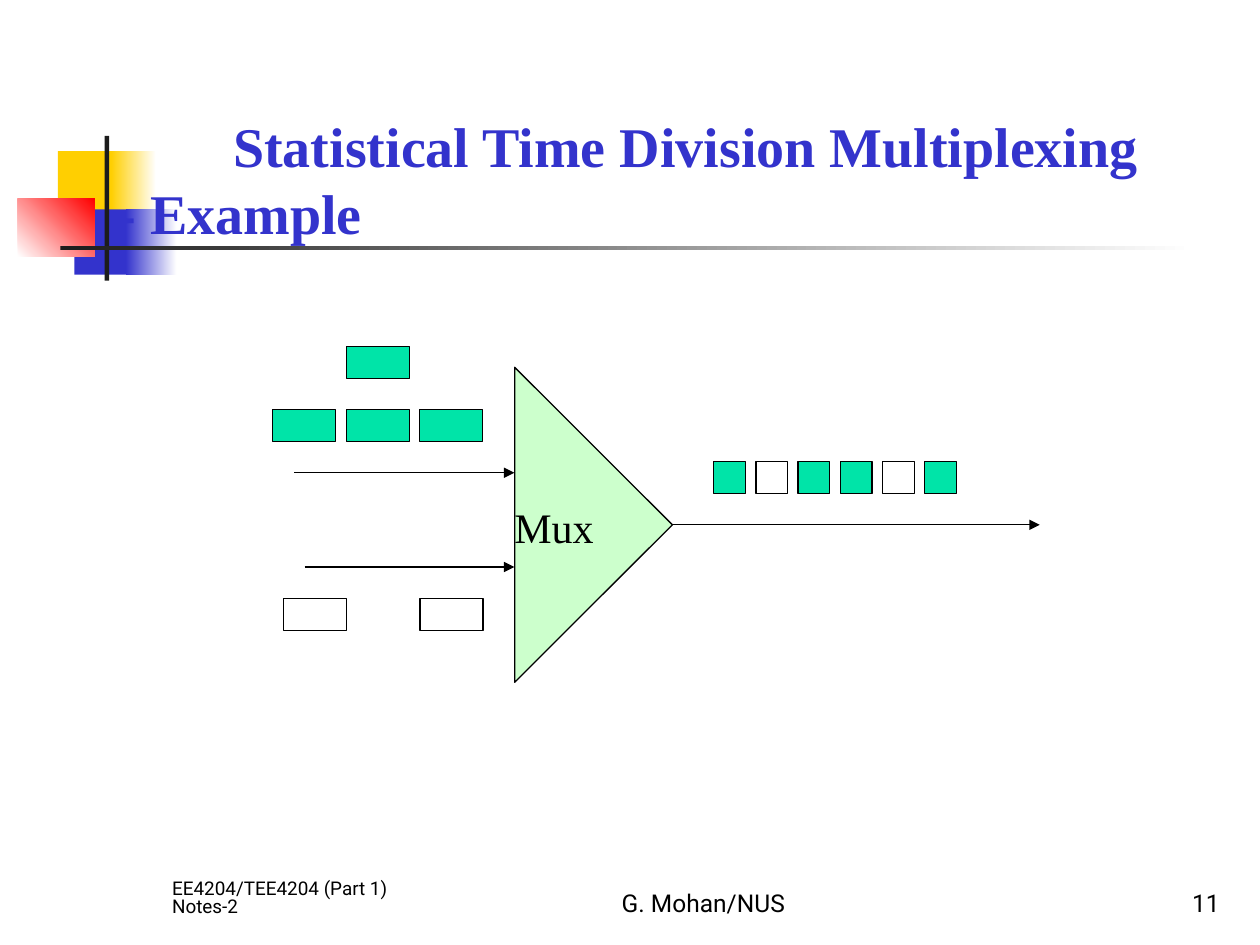
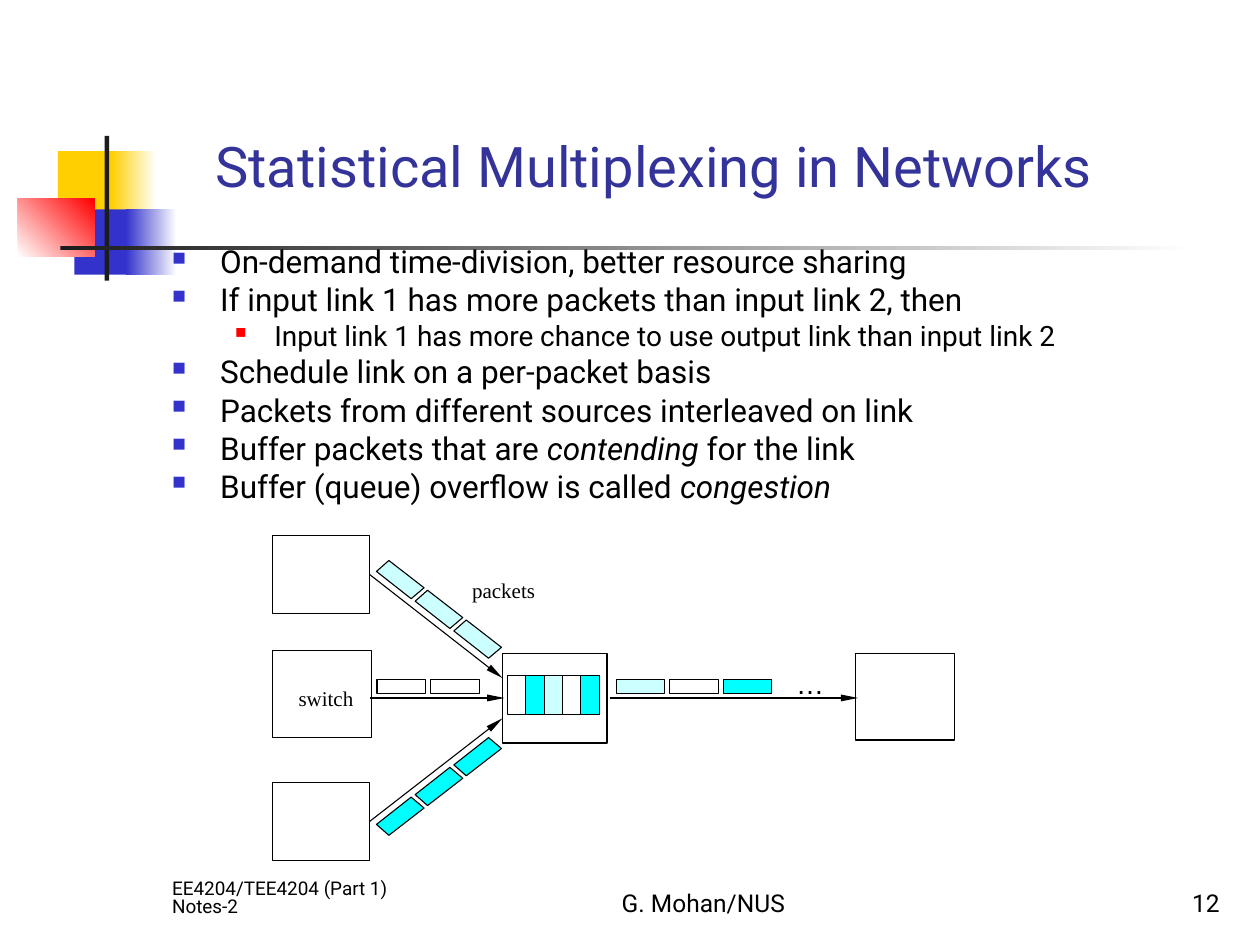
from lxml import etree
from pptx import Presentation
from pptx import util as u
from pptx.dml.color import RGBColor
from pptx.enum import shapes, text
from pptx.oxml import ns

BLACK = RGBColor(0x00, 0x00, 0x00)
WHITE = RGBColor(0xFF, 0xFF, 0xFF)
CHARCOAL = RGBColor(0x1C, 0x1C, 0x1C)
YELLOW = RGBColor(0xFF, 0xCF, 0x01)
BLUE = RGBColor(0x33, 0x33, 0xCC)
NAVY = RGBColor(0x33, 0x33, 0x99)
RED = RGBColor(0xFF, 0x00, 0x00)
GREEN = RGBColor(0x00, 0xE4, 0xA8)
MINT = RGBColor(0xCC, 0xFF, 0xCC)
CYAN = RGBColor(0x00, 0xFF, 0xFF)
PALE_CYAN = RGBColor(0xCC, 0xFF, 0xFF)

SANS = "Roboto"
SERIF = "Times New Roman"
LEFT, CENTER, RIGHT = text.PP_ALIGN.LEFT, text.PP_ALIGN.CENTER, text.PP_ALIGN.RIGHT
TOP, MIDDLE, BOTTOM = (text.MSO_ANCHOR.TOP, text.MSO_ANCHOR.MIDDLE,
                       text.MSO_ANCHOR.BOTTOM)

LINK_Y = 14.07  # height of the middle link through the switch


def cm(*lengths):
    return [u.Cm(length) for length in lengths]


def add_element(parent, tag, **attributes):
    return etree.SubElement(parent, ns.qn(tag), attributes)


def write(para, content, size=18, font=SANS, color=BLACK, bold=False,
          align=LEFT, spacing=None):
    """Fill a paragraph; parts between asterisks are set in italics."""
    para.alignment = align
    if spacing:
        para.line_spacing = spacing
    for index, part in enumerate(content.split("*")):
        if part:
            span = para.add_run()
            span.text = part
            span.font.size = u.Pt(size)
            span.font.name = font
            span.font.color.rgb = color
            span.font.bold = bold
            span.font.italic = index % 2 == 1


def set_frame(frame, anchor=TOP, wrap=True, inset=True):
    frame.word_wrap = wrap
    frame.auto_size = text.MSO_AUTO_SIZE.NONE
    frame.vertical_anchor = anchor
    frame.margin_left = frame.margin_right = u.Cm(0.25 if inset else 0)
    frame.margin_top = frame.margin_bottom = u.Cm(0.13 if inset else 0)


def add_text(slide, place, content, anchor=TOP, wrap=True, inset=True, **style):
    frame = slide.shapes.add_textbox(*cm(*place)).text_frame
    set_frame(frame, anchor, wrap, inset)
    write(frame.paragraphs[0], content, **style)


def set_title(slide, place, content, indent, anchor, **style):
    title = slide.shapes.title
    title.left, title.top, title.width, title.height = cm(*place)
    set_frame(title.text_frame, anchor)
    para = title.text_frame.paragraphs[0]
    para._p.get_or_add_pPr().set("indent", str(u.Cm(indent)))
    write(para, content, size=32, **style)
    slide.shapes._spTree.append(title._element)  # in front of the squares


def paint(shape, fill, line_width):
    shape.shadow.inherit = False
    if fill is None:
        shape.fill.background()
    else:
        shape.fill.solid()
        shape.fill.fore_color.rgb = fill
    if line_width:
        shape.line.color.rgb = BLACK
        shape.line.width = u.Pt(line_width)
    else:
        shape.line.fill.background()
    return shape


def add_box(slide, place, fill=None, line_width=0.75,
            kind=shapes.MSO_SHAPE.RECTANGLE):
    return paint(slide.shapes.add_shape(kind, *cm(*place)), fill, line_width)


def add_fade(slide, place, start, end, angle=0):
    """Rectangle with a two-colour gradient."""
    box = add_box(slide, place, line_width=0)
    box.fill.gradient()
    box.fill.gradient_angle = angle
    for stop, color in zip(box.fill.gradient_stops, (start, end)):
        stop.color.rgb = color


def add_row(slide, left, top, step, size, fills, line_width=0.75):
    for index, fill in enumerate(fills):
        add_box(slide, (left + index * step, top, *size), fill, line_width)


def add_arrow(slide, start, end, line_width=0.75, head_width="med",
              head_length="med"):
    arrow = slide.shapes.add_connector(shapes.MSO_CONNECTOR.STRAIGHT,
                                       *cm(*start, *end))
    arrow.line.color.rgb = BLACK
    arrow.line.width = u.Pt(line_width)
    add_element(arrow.line._get_or_add_ln(), "a:tailEnd", type="triangle",
                w=head_width, len=head_length)
    add_element(arrow._element.spPr, "a:effectLst")


def add_slanted_packets(slide, side, fill):
    """Three packets along a sloping link; side is -1 above the switch, 1 below."""
    outline = [(0, 0), (0.71, 0.55), (0.45, 0.77), (-0.25, 0.22)]
    for index in range(3):
        left, rise = 7.84 + 0.78 * index, 2.77 - 0.6 * index
        points = [cm(left + x, LINK_Y + side * (rise - y)) for x, y in outline]
        builder = slide.shapes.build_freeform(*points[0], scale=1.0)
        builder.add_line_segments(points[1:], close=True)
        paint(builder.convert_to_shape(), fill, 0.62)


def add_bullets(slide, place, items):
    """items: (level, text) pairs."""
    formats = [  # left edge, hanging, bullet colour, bullet size, space, font size
        (0.97, 0.97, BLUE, 60, 4.5, 18),
        (2.06, 0.79, RED, 55, 4, 16),
    ]
    frame = slide.shapes.add_textbox(*cm(*place)).text_frame
    set_frame(frame)
    for index, (level, content) in enumerate(items):
        edge, hanging, color, percent, space, size = formats[level]
        para = frame.add_paragraph() if index else frame.paragraphs[0]
        para.level = level
        props = para._p.get_or_add_pPr()
        props.set("marL", str(u.Cm(edge)))
        props.set("indent", str(-u.Cm(hanging)))
        add_element(add_element(props, "a:buClr"), "a:srgbClr", val=str(color))
        add_element(props, "a:buSzPct", val=str(percent * 1000))
        add_element(props, "a:buChar", char="■")
        if index:
            para.space_before = u.Pt(space)
        write(para, content, size=size, spacing=0.8)


def add_page(deck, number):
    """New slide with the coloured squares, rules and footers."""
    slide = deck.slides.add_slide(deck.slide_layouts[5])
    add_box(slide, (1.17, 3.05, 1.22, 1.32), YELLOW, 0)
    add_fade(slide, (2.24, 3.05, 0.91, 1.32), YELLOW, WHITE)
    add_box(slide, (1.5, 4.22, 1.17, 1.32), BLUE, 0)
    add_fade(slide, (2.54, 4.22, 1.02, 1.32), BLUE, WHITE)
    add_fade(slide, (0.36, 4.01, 1.55, 1.17), WHITE, RED, angle=45)
    add_box(slide, (2.11, 2.74, 0.09, 2.92), CHARCOAL, 0)
    add_fade(slide, (1.22, 4.95, 22.86, 0.09), CHARCOAL, WHITE)
    footers = [
        (3.22, 5.29, "EE4204/TEE4204 (Part 1) Notes-2",
         dict(size=10.8, spacing=0.8)),
        (10.16, 8.04, "G. Mohan/NUS", dict(size=14, align=CENTER)),
        (19.55, 5.29, str(number), dict(size=14, align=RIGHT)),
    ]
    for left, width, content, style in footers:
        add_text(slide, (left, 17.36, width, 1.27), content, anchor=BOTTOM, **style)
    return slide


def build_mux_example(deck):
    slide = add_page(deck, 11)
    set_title(slide, (2.12, 2.12, 21.59, 2.96),
              "Statistical Time Division Multiplexing - Example", 2.33, TOP,
              font=SERIF, color=BLUE, bold=True, spacing=u.Pt(38.4))

    mux = add_box(slide, (8.79, 8.99, 6.35, 3.18), MINT,
                  kind=shapes.MSO_SHAPE.ISOSCELES_TRIANGLE)
    mux.rotation = 90
    add_text(slide, (10.37, 9.98, 2, 1.27), "Mux", anchor=MIDDLE, wrap=False,
             inset=False, size=24, font=SERIF)

    add_arrow(slide, (5.93, 9.53), (10.37, 9.53))
    add_arrow(slide, (6.14, 11.43), (10.37, 11.43))
    add_arrow(slide, (13.55, 10.58), (20.96, 10.58))

    packet = (1.27, 0.64)
    add_row(slide, 6.99, 6.99, 0, packet, [GREEN])
    add_row(slide, 5.5, 8.26, 1.48, packet, [GREEN] * 3)
    add_row(slide, 5.72, 12.07, 2.75, packet, [WHITE] * 2)
    add_row(slide, 14.39, 9.31, 0.85, (0.64, 0.64),
            [GREEN, WHITE, GREEN] * 1 + [GREEN, WHITE, GREEN])


def build_networks(deck):
    slide = add_page(deck, 12)
    set_title(slide, (2.54, 1.06, 21.59, 3.08),
              "Statistical Multiplexing in Networks", 1.55, BOTTOM, color=NAVY)
    add_bullets(slide, (3.22, 4.9, 19.48, 5.72), [
        (0, "On-demand time-division, better resource sharing"),
        (0, "If input link 1 has more packets than input link 2, then"),
        (1, "Input link 1 has more chance to use output link than input link 2"),
        (0, "Schedule link on a per-packet basis"),
        (0, "Packets from different sources interleaved on link"),
        (0, "Buffer packets that are *contending* for the link"),
        (0, "Buffer (queue) overflow is called *congestion*"),
    ])

    for host in [(5.5, 10.8, 1.95, 1.57), (5.5, 13.11, 2, 1.75),
                 (5.5, 15.77, 1.95, 1.57), (17.25, 13.17, 2, 1.75)]:
        add_box(slide, host, line_width=0.62)
    add_box(slide, (10.13, 13.18, 2.11, 1.8))
    add_row(slide, 10.23, 13.61, 0.37, (0.37, 0.79),
            [None, CYAN, PALE_CYAN, None, CYAN], 0.62)

    for start, end in [((7.45, 11.58), (10.13, 13.67)),
                       ((7.45, LINK_Y), (10.17, LINK_Y)),
                       ((7.45, 16.56), (10.13, 14.48)),
                       ((12.29, LINK_Y), (17.3, LINK_Y))]:
        add_arrow(slide, start, end, 0.62, head_width="sm", head_length="lg")

    add_slanted_packets(slide, -1, PALE_CYAN)
    add_slanted_packets(slide, 1, CYAN)
    packet = (0.98, 0.3)
    add_row(slide, 7.6, 13.69, 1.08, packet, [None, None], 0.62)
    add_row(slide, 12.42, 13.69, 1.08, packet, [PALE_CYAN, None, CYAN], 0.62)

    add_text(slide, (16.05, 13.44, 0.56, 0.69), "…", wrap=False, inset=False,
             size=16, font="Arial", align=CENTER)
    add_text(slide, (5.77, 13.69, 1.68, 0.76), "switch", size=12, font=SERIF)
    add_text(slide, (9.27, 11.51, 2.79, 0.76), "packets", size=12, font=SERIF)


def main():
    deck = Presentation()
    deck.slide_width, deck.slide_height = cm(25.4, 19.05)
    build_mux_example(deck)
    build_networks(deck)
    deck.save("out.pptx")


if __name__ == "__main__":
    main()
